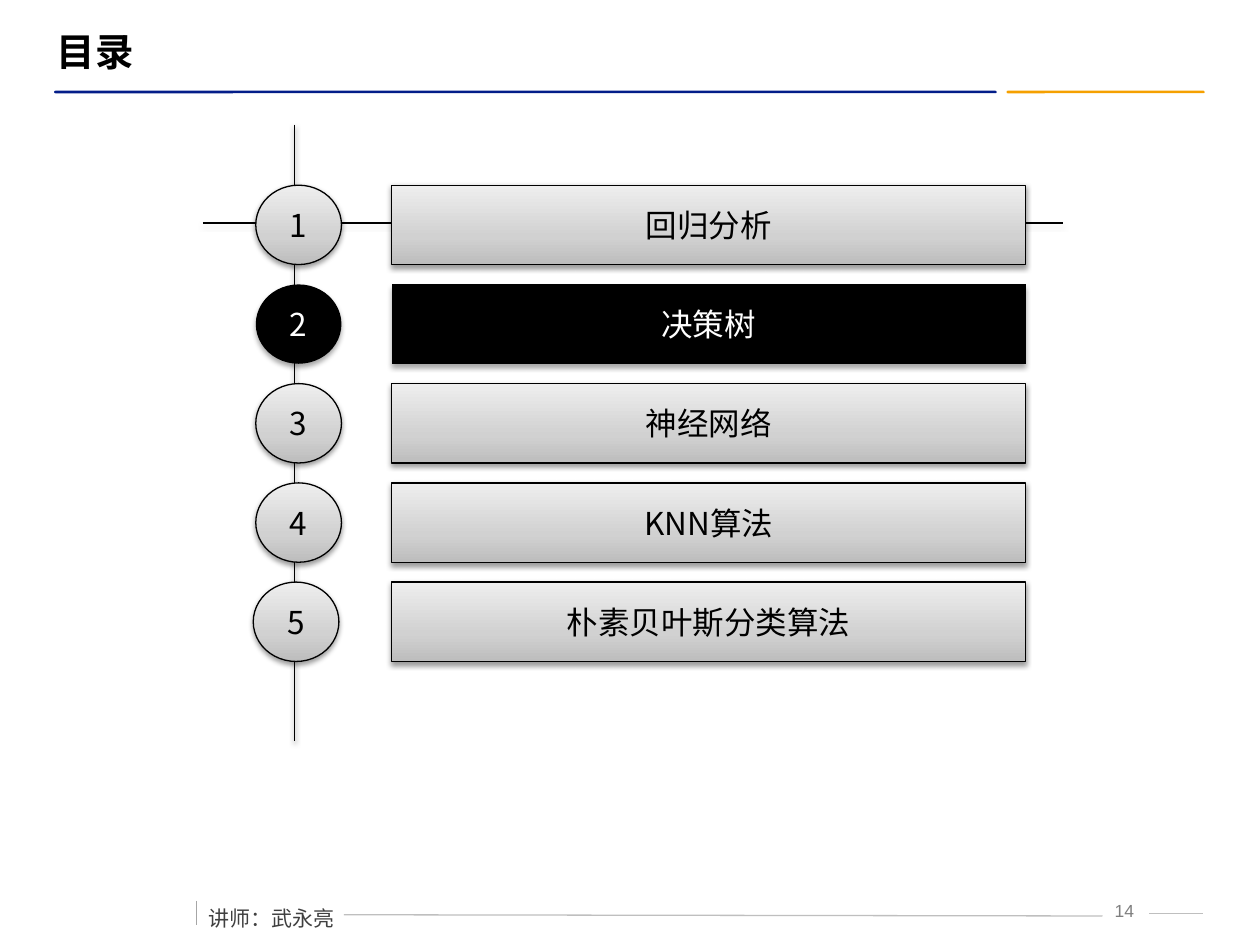
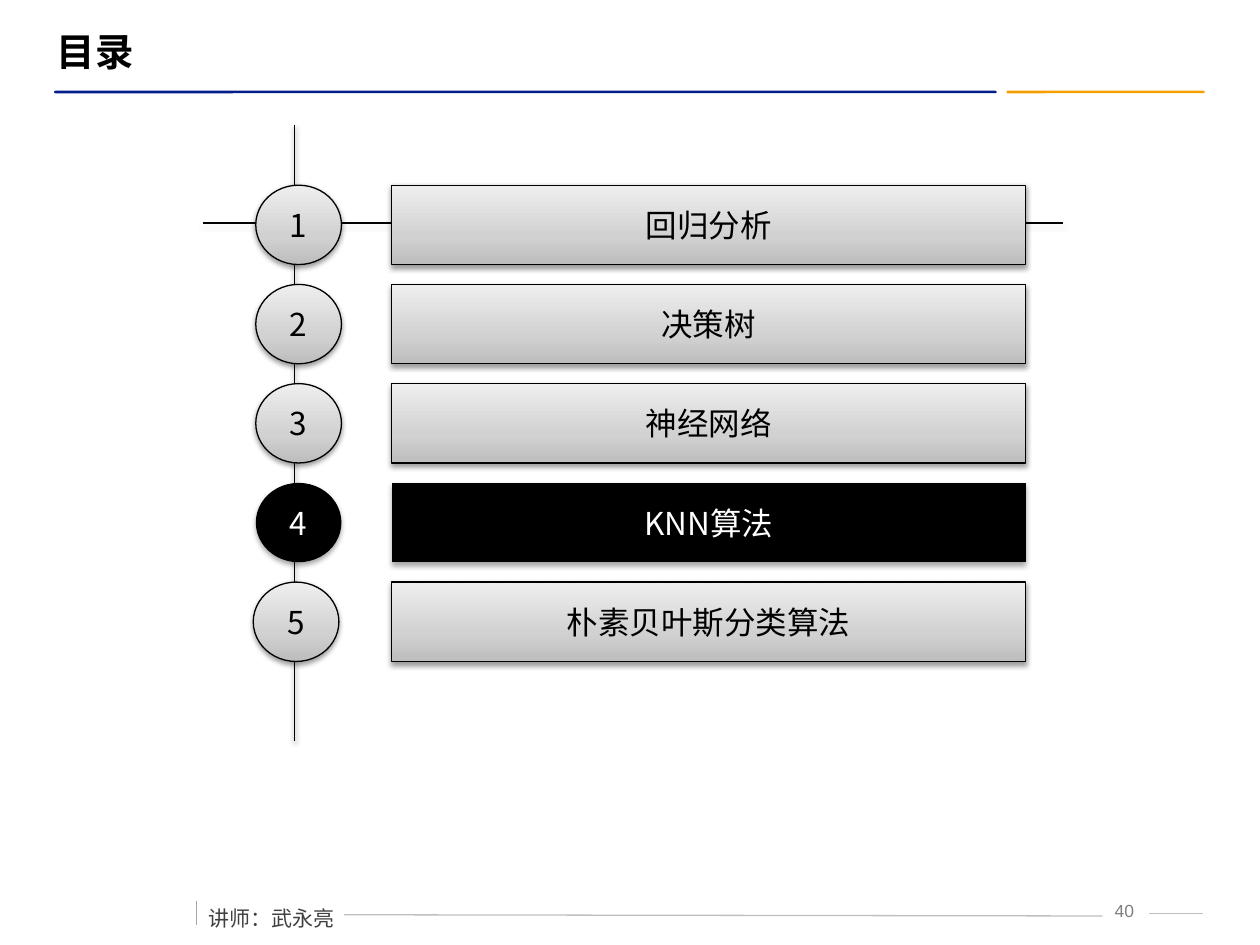
from copy import deepcopy
from dataclasses import dataclass

from lxml import etree
from pptx import Presentation
from pptx.dml.color import RGBColor
from pptx.enum.shapes import MSO_CONNECTOR, MSO_SHAPE
from pptx.enum.text import MSO_ANCHOR, MSO_AUTO_SIZE, PP_ALIGN
from pptx.oxml.ns import qn
from pptx.util import Inches, Pt

STRAIGHT = MSO_CONNECTOR.STRAIGHT
ELLIPSE = MSO_SHAPE.OVAL
BUTTON = MSO_SHAPE.ACTION_BUTTON_CUSTOM
ROUNDED = MSO_SHAPE.ROUNDED_RECTANGLE
LEFT, CENTER = PP_ALIGN.LEFT, PP_ALIGN.CENTER
MIDDLE = MSO_ANCHOR.MIDDLE
FIT_TEXT = MSO_AUTO_SIZE.SHAPE_TO_FIT_TEXT

TITLE = "目录"
LECTURER = "讲师：武永亮"
CHAPTERS = ["回归分析", "决策树", "神经网络", "KNN算法", "朴素贝叶斯分类算法"]
AGENDA_SLIDES = [  # page number, current chapter
    (14, 2),
    (40, 4),
]


@dataclass(frozen=True)
class Theme:
    latin: str = "Arial"
    chinese: str = "Noto Sans CJK SC"
    black: str = "000000"
    white: str = "FFFFFF"
    blue: str = "031D89"
    orange: str = "F5A000"
    rule: str = "BFBFBF"
    tick: str = "A6A6A6"
    page: str = "7F7F7F"
    footer: str = "404040"
    gradient: tuple = ((0, "BDBDBD"), (0.35, "D1D1D1"), (1, "EEEEEE"))
    title_size: int = 22
    chapter_size: int = 18
    footer_size: int = 12
    page_size: int = 10
    line_width: float = 0.75


THEME = Theme()

# Left, top, width, height
TITLE_BOX = (0.35, 0.17, 8.9, 0.47)
PAGE_BOX = (8.67, 7.09, 0.47, 0.25)
LECTURER_BOX = (1.56, 7.04, 1.21, 0.36)
TITLE_BARS = [  # box, corner, colour
    ((7.99, 0.72, 1.57, 0.02), 0.36, THEME.orange),
    ((0.43, 0.72, 7.48, 0.02), 0.5, THEME.blue),
]

# From x, from y, to x, to y
FOOTER_LINES = [
    ((2.73, 7.26, 8.75, 7.27), THEME.rule),
    ((9.12, 7.25, 9.55, 7.25), THEME.rule),
    ((1.56, 7.15, 1.56, 7.34), THEME.tick),
]
AXES = [(2.34, 0.99, 2.34, 5.88), (1.61, 1.77, 8.44, 1.77)]

FIRST_TOP, LAST_TOP = 1.47, 4.62
ROW_PITCH = (LAST_TOP - FIRST_TOP) / (len(CHAPTERS) - 1)
ROW_HEIGHT = 0.63
CIRCLE_LEFT, LAST_CIRCLE_LEFT, CIRCLE_WIDTH = 2.03, 2.01, 0.68
BUTTON_LEFT, BUTTON_WIDTH = 3.11, 5.03


def inches(values):
    return [Inches(value) for value in values]


def color(value):
    return RGBColor.from_string(value)


def set_shadow(shape, opacity=0, distance=0):
    """Replace the theme shadow; without opacity there is none."""
    effects = etree.SubElement(shape.element.spPr, qn("a:effectLst"))
    if opacity:
        shadow = etree.SubElement(
            effects, qn("a:outerShdw"), blurRad=str(Pt(3.1)),
            dist=str(Pt(distance)), dir="5400000", rotWithShape="0")
        black = etree.SubElement(shadow, qn("a:srgbClr"), val=THEME.black)
        etree.SubElement(black, qn("a:alpha"), val=str(opacity * 1000))


def write(shape, text, size, text_color, font=THEME.chinese, align=CENTER, bold=False):
    shape.text_frame.text = text
    paragraph = shape.text_frame.paragraphs[0]
    paragraph.alignment = align
    run = paragraph.runs[0]
    run.font.name = font
    run.font.size = Pt(size)
    run.font.bold = bold
    run.font.color.rgb = color(text_color)
    east_asian = etree.Element(qn("a:ea"), typeface=THEME.chinese)
    run.font._element.find(qn("a:latin")).addnext(east_asian)
    return paragraph


def add_line(slide, ends, line_color):
    line = slide.shapes.add_connector(STRAIGHT, *inches(ends))
    line.line.color.rgb = color(line_color)
    line.line.width = Pt(THEME.line_width)
    return line


def fill_gradient(shape):
    shape.fill.gradient()
    shape.fill.gradient_angle = 90
    stop_list = shape.element.spPr.find(".//" + qn("a:gsLst"))
    stop_list.append(deepcopy(stop_list[0]))
    for stop, (position, stop_color) in zip(shape.fill.gradient_stops, THEME.gradient):
        stop.position = position
        stop.color.rgb = color(stop_color)


def add_chapter_shape(slide, kind, box, text, current):
    shape = slide.shapes.add_shape(kind, *inches(box))
    if current:
        shape.fill.solid()
        shape.fill.fore_color.rgb = color(THEME.black)
        shape.line.fill.background()
        set_shadow(shape, 35, 1.8)
    else:
        fill_gradient(shape)
        shape.line.color.rgb = color(THEME.black)
        shape.line.width = Pt(THEME.line_width)
        set_shadow(shape, 38, 1.6)
    shape.text_frame.word_wrap = False
    shape.text_frame.vertical_anchor = MIDDLE
    write(shape, text, THEME.chapter_size, THEME.white if current else THEME.black)


def add_frame(slide, page):
    """Title, title bars and footer, the same on every slide."""
    title = slide.shapes.title
    title.left, title.top, title.width, title.height = inches(TITLE_BOX)
    title.text_frame.vertical_anchor = MIDDLE
    write(title, TITLE, THEME.title_size, THEME.black, THEME.latin, LEFT, bold=True)

    for box, corner, bar_color in TITLE_BARS:
        bar = slide.shapes.add_shape(ROUNDED, *inches(box))
        bar.adjustments[0] = corner
        bar.fill.solid()
        bar.fill.fore_color.rgb = color(bar_color)
        bar.line.fill.background()
        bar.shadow.inherit = False

    page_number = slide.shapes.add_textbox(*inches(PAGE_BOX))
    page_number.text_frame.word_wrap = True
    write(page_number, f" {page}", THEME.page_size, THEME.page, THEME.latin)

    for ends, line_color in FOOTER_LINES:
        set_shadow(add_line(slide, ends, line_color))

    lecturer = slide.shapes.add_textbox(*inches(LECTURER_BOX))
    lecturer.text_frame.word_wrap = False
    lecturer.text_frame.auto_size = FIT_TEXT
    paragraph = write(lecturer, LECTURER, THEME.footer_size, THEME.footer, align=LEFT)
    paragraph.line_spacing = 1.5
    paragraph.space_before = Pt(6)


def add_agenda(slide, current_chapter):
    for ends in AXES:
        set_shadow(add_line(slide, ends, THEME.black), 38, 1.6)
    for number, chapter in enumerate(CHAPTERS, start=1):
        top = FIRST_TOP + (number - 1) * ROW_PITCH
        circle_left = LAST_CIRCLE_LEFT if number == len(CHAPTERS) else CIRCLE_LEFT
        current = number == current_chapter
        add_chapter_shape(slide, ELLIPSE, (circle_left, top, CIRCLE_WIDTH, ROW_HEIGHT),
                          str(number), current)
        add_chapter_shape(slide, BUTTON, (BUTTON_LEFT, top, BUTTON_WIDTH, ROW_HEIGHT),
                          chapter, current)


def main():
    presentation = Presentation()
    presentation.slide_width, presentation.slide_height = inches((10, 7.5))
    title_only = presentation.slide_layouts.get_by_name("Title Only")
    for page, current_chapter in AGENDA_SLIDES:
        slide = presentation.slides.add_slide(title_only)
        add_frame(slide, page)
        add_agenda(slide, current_chapter)
    presentation.save("out.pptx")


if __name__ == "__main__":
    main()
